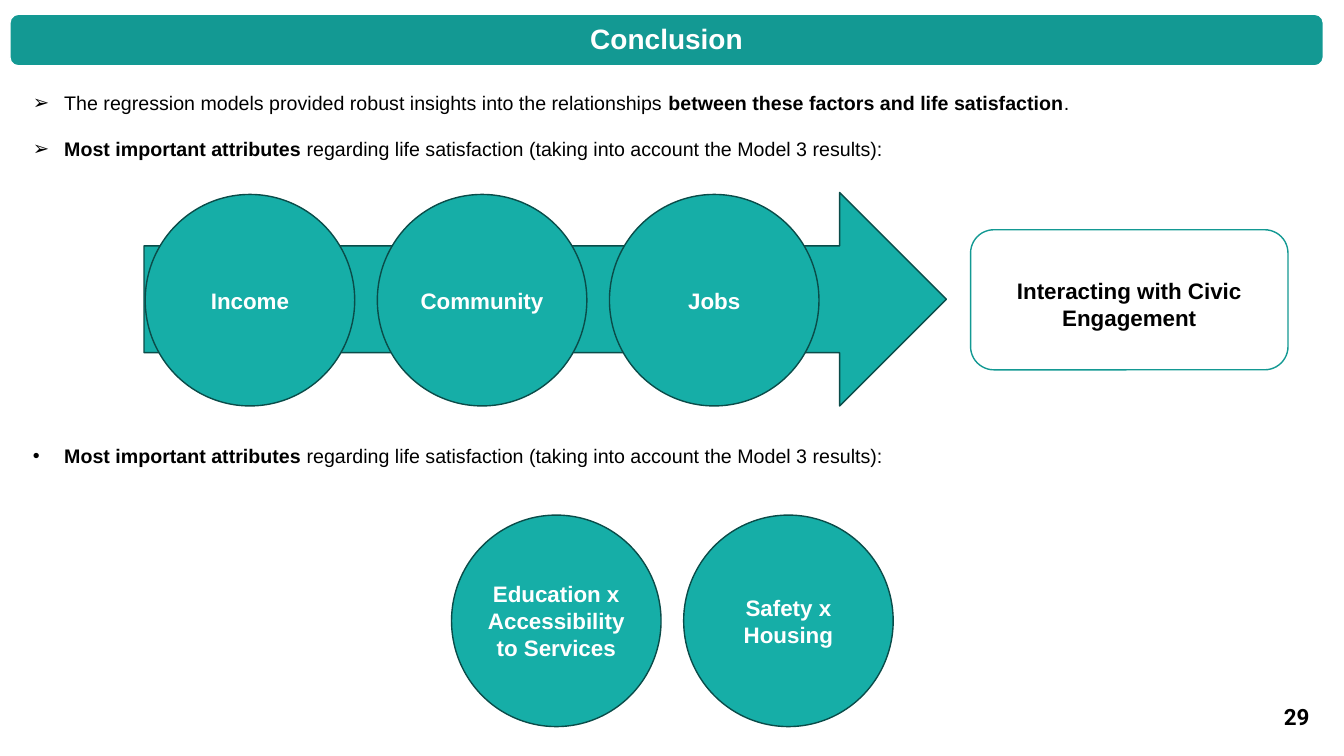
from lxml import etree
from pptx import Presentation
from pptx.dml.color import RGBColor
from pptx.enum.shapes import MSO_SHAPE as Shape
from pptx.enum.text import MSO_ANCHOR as Anchor, PP_ALIGN as Align
from pptx.oxml.ns import qn
from pptx.util import Cm, Pt

TEAL = RGBColor(0x13, 0x99, 0x93)
AQUA = RGBColor(0x16, 0xAE, 0xA7)
DARK = RGBColor(0x0A, 0x4C, 0x49)
WHITE = RGBColor(0xFF, 0xFF, 0xFF)
BLACK = RGBColor(0, 0, 0)

DISC_W, DISC_H, PITCH = 5.28, 5.33, 5.85


def style(font, size, color, bold=True, name="Arial"):
    font.name, font.size, font.bold = name, Pt(size), bold
    font.color.rgb = color


def add_form(slide, kind, box, fill, line):
    form = slide.shapes.add_shape(kind, *map(Cm, box))
    form.shadow.inherit = False
    if fill is None:
        form.fill.background()
    else:
        form.fill.solid()
        form.fill.fore_color.rgb = fill
    form.line.color.rgb = line
    form.line.width = Pt(1)
    return form


def add_label(form, text, size, color, top=0, bottom=0):
    frame = form.text_frame
    frame.word_wrap = True
    frame.vertical_anchor = Anchor.MIDDLE
    frame.margin_left = frame.margin_right = 0
    frame.margin_top, frame.margin_bottom = Cm(top), Cm(bottom)
    frame.text = text
    for para in frame.paragraphs:
        para.alignment = Align.CENTER
        style(para.font, size, color)


def add_title(slide, box, text):
    bar = add_form(slide, Shape.ROUNDED_RECTANGLE, box, TEAL, WHITE)
    add_label(bar, text, 20, WHITE, bottom=0.1)


def add_points(slide, box, mark, points):
    """Each point is a list of (text, bold) pairs."""
    frame = slide.shapes.add_textbox(*map(Cm, box)).text_frame
    frame.word_wrap = True
    for i, parts in enumerate(points):
        para = frame.add_paragraph() if i else frame.paragraphs[0]
        para.alignment = Align.JUSTIFY
        if i:
            para.space_before = Pt(16)
        props = para._p.get_or_add_pPr()
        props.set("marL", str(Cm(0.79)))
        props.set("indent", str(-Cm(0.79)))
        etree.SubElement(props, qn("a:buFont")).set("typeface", "Arial")
        etree.SubElement(props, qn("a:buChar")).set("char", mark)
        for text, bold in parts:
            run = para.add_run()
            run.text = text
            style(run.font, 14, BLACK, bold)


def add_discs(slide, left, top, labels):
    for i, text in enumerate(labels):
        box = (left + i * PITCH, top, DISC_W, DISC_H)
        disc = add_form(slide, Shape.OVAL, box, AQUA, DARK)
        add_label(disc, text, 16, WHITE)


def add_flow(slide, box, labels):
    left, top = box[:2]
    add_form(slide, Shape.RIGHT_ARROW, box, AQUA, DARK)
    add_discs(slide, left + 0.03, top + 0.05, labels)


def add_note(slide, box, text):
    note = add_form(slide, Shape.ROUNDED_RECTANGLE, box, None, TEAL)
    add_label(note, text, 16, BLACK, top=0.2)


def add_number(slide, box, text):
    frame = slide.shapes.add_textbox(*map(Cm, box)).text_frame
    frame.word_wrap = True
    frame.vertical_anchor = Anchor.MIDDLE
    frame.text = text
    para = frame.paragraphs[0]
    para.alignment = Align.RIGHT
    style(para.font, 16, BLACK, name="Roboto")


def main():
    deck = Presentation()
    deck.slide_width, deck.slide_height = Cm(33.87), Cm(19.05)
    slide = deck.slides.add_slide(deck.slide_layouts[6])

    # Title bar
    add_title(slide, (0.25, 0.36, 33.1, 1.3), "Conclusion")

    # Findings, with the single attributes in a row
    models = [
        ("The regression models provided robust insights into the relationships ", False),
        ("between these factors and life satisfaction", True),
        (".", False),
    ]
    traits = [
        ("Most important attributes", True),
        (" regarding life satisfaction (taking into account the Model 3 results):", False),
    ]
    add_points(slide, (0.58, 2.16, 32.77, 2.2), "➢", [models, traits])
    add_flow(slide, (3.63, 4.85, 20.22, 5.38), ["Income", "Community", "Jobs"])
    add_note(slide, (24.46, 5.79, 8, 3.53), "Interacting with Civic Engagement")

    # Combined attributes
    add_points(slide, (0.58, 11.05, 32.77, 0.9), "•", [traits])
    add_discs(slide, 11.38, 12.98,
              ["Education x\nAccessibility to Services", "Safety x\nHousing"])

    # Slide number
    add_number(slide, (31.55, 17.55, 1.7, 1.02), "29")

    deck.save("out.pptx")


if __name__ == "__main__":
    main()
